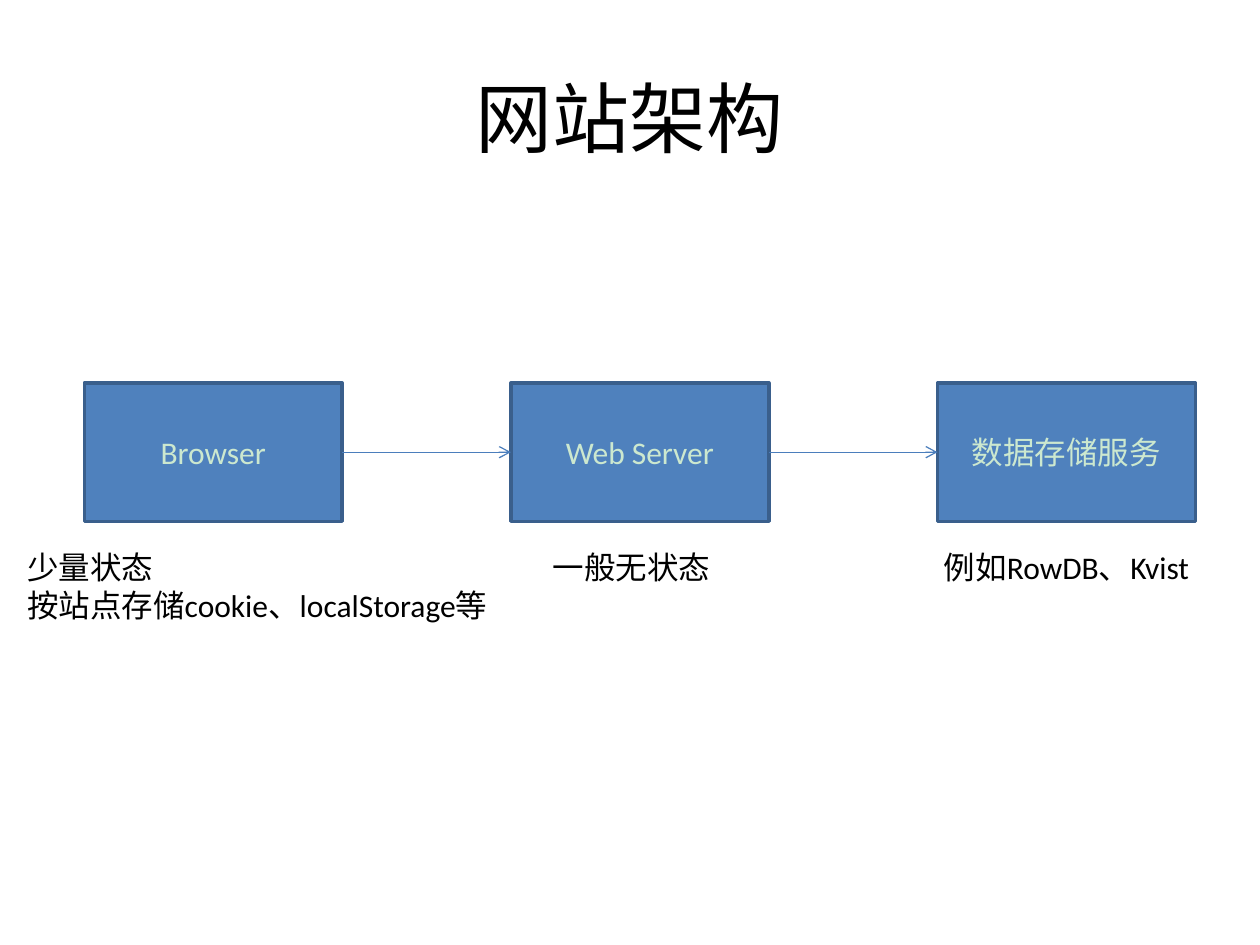
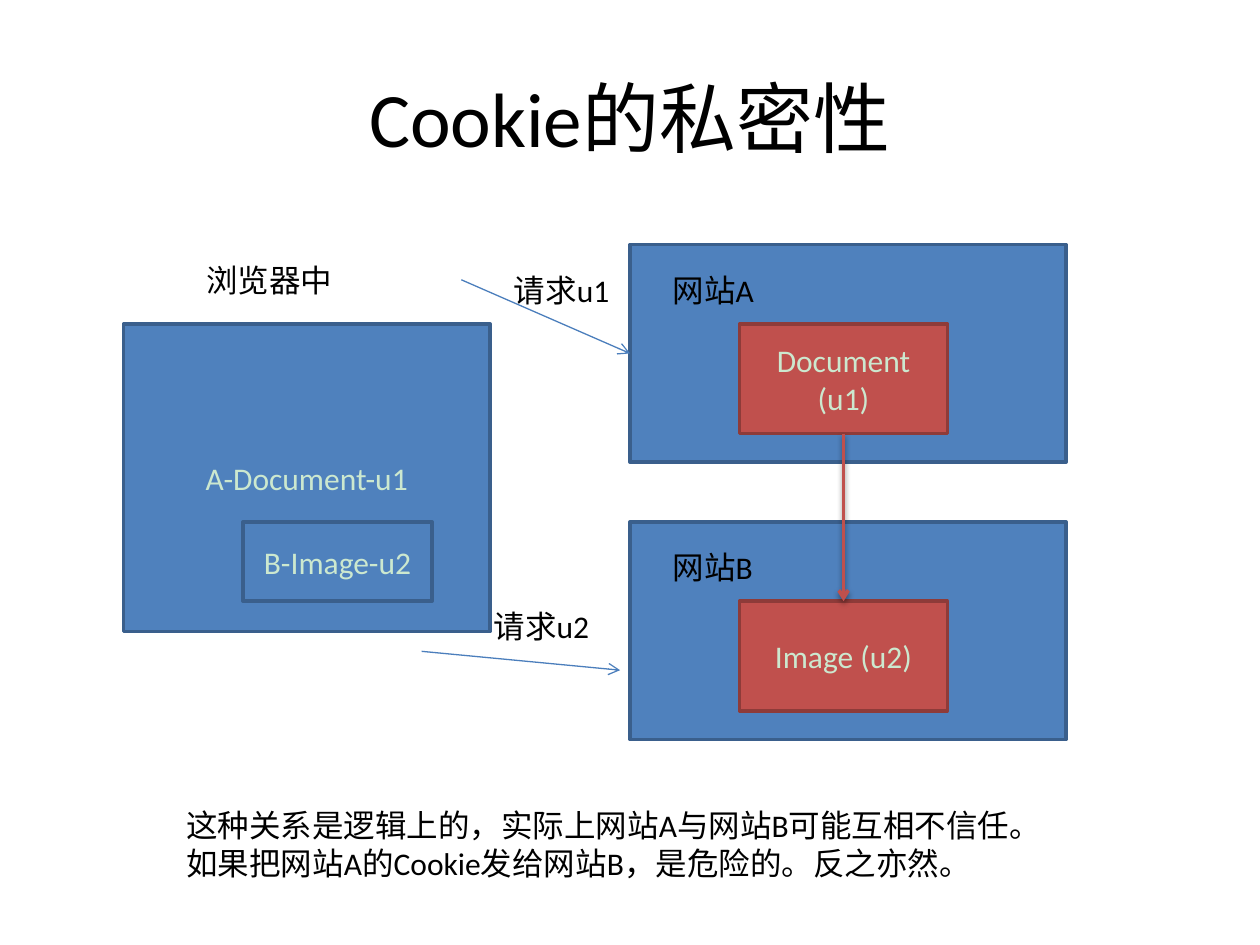
from dataclasses import dataclass

from lxml.etree import SubElement
from pptx import Presentation
from pptx.dml.color import RGBColor
from pptx.enum.shapes import MSO_CONNECTOR, MSO_SHAPE
from pptx.enum.text import MSO_ANCHOR, PP_ALIGN
from pptx.oxml.ns import qn
from pptx.util import Cm, Pt


@dataclass(frozen=True)
class Theme:
    """Colours, font and sizes shared by the slides."""

    font: str = "Calibri"
    ink: str = "000000"
    pale: str = "CCE8CF"
    blue: str = "4F81BD"
    blue_edge: str = "3A5F8C"
    blue_arrow: str = "4B7EBC"
    red: str = "C0504D"
    red_edge: str = "8E3B39"
    title_size: int = 44
    body_size: int = 18
    heavy: float = 2
    thin: float = 0.75


@dataclass(frozen=True)
class Box:
    """A rectangle measured in centimetres."""

    left: float
    top: float
    width: float
    height: float

    def inner(self, dx, dy, width, height):
        """Return a box offset from this one's top left corner."""
        return Box(self.left + dx, self.top + dy, width, height)

    def lengths(self):
        """Return left, top, width and height as slide lengths."""
        return [Cm(v) for v in (self.left, self.top, self.width, self.height)]


THEME = Theme()
TITLE = Box(1.27, 0.76, 22.86, 3.18)
LINE_HEIGHT = 1.02
TOP, LEFT, BOTTOM, RIGHT = range(4)


def write(frame, text, size, color, align, anchor):
    """Fill a text frame with uniformly formatted paragraphs."""
    frame.text = text
    for name, value in {"word_wrap": True, "vertical_anchor": anchor}.items():
        setattr(frame, name, value)
    for paragraph in frame.paragraphs:
        paragraph.alignment = align
        for run in paragraph.runs:
            for name, value in {"name": THEME.font, "size": Pt(size)}.items():
                setattr(run.font, name, value)
            run.font.color.rgb = RGBColor.from_string(color)


def add_titled_slide(deck, title):
    """Add a title-only slide with the shared title style."""
    slide = deck.slides.add_slide(deck.slide_layouts[5])
    heading = slide.shapes.title
    for name, value in zip(("left", "top", "width", "height"), TITLE.lengths()):
        setattr(heading, name, value)
    write(heading.text_frame, title, THEME.title_size, THEME.ink,
          PP_ALIGN.CENTER, MSO_ANCHOR.MIDDLE)
    return slide


def add_block(slide, box, text="", fill=THEME.blue, edge=THEME.blue_edge):
    """Add an outlined rectangle with a centred label."""
    block = slide.shapes.add_shape(MSO_SHAPE.RECTANGLE, *box.lengths())
    block.shadow.inherit = False
    block.fill.solid()
    block.fill.fore_color.rgb = RGBColor.from_string(fill)
    block.line.color.rgb = RGBColor.from_string(edge)
    block.line.width = Pt(THEME.heavy)
    write(block.text_frame, text, THEME.body_size, THEME.pale,
          PP_ALIGN.CENTER, MSO_ANCHOR.MIDDLE)
    return block


def add_caption(slide, box, text, align=PP_ALIGN.LEFT):
    """Add dark body text in a wrapping text box."""
    caption = slide.shapes.add_textbox(*box.lengths())
    write(caption.text_frame, text, THEME.body_size, THEME.ink,
          align, MSO_ANCHOR.TOP)


def add_arrow(slide, start=(0, 0), end=(0, 0), source=None, target=None,
              color=THEME.blue_arrow, weight=THEME.thin, shadow=False):
    """Add an arrow between points, or joined to (block, side) pairs."""
    arrow = slide.shapes.add_connector(
        MSO_CONNECTOR.STRAIGHT, *(Cm(v) for v in (*start, *end)))
    if source:
        arrow.begin_connect(*source)
    if target:
        arrow.end_connect(*target)
    arrow.line.color.rgb = RGBColor.from_string(color)
    arrow.line.width = Pt(weight)
    properties = arrow._element.spPr
    SubElement(properties.get_or_add_ln(), qn("a:tailEnd"), type="arrow")
    effects = SubElement(properties, qn("a:effectLst"))
    if shadow:
        cast = SubElement(effects, qn("a:outerShdw"), blurRad=str(Pt(3.1)),
                          dist=str(Pt(1.6)), dir="5400000", rotWithShape="0")
        shade = SubElement(cast, qn("a:srgbClr"), val=THEME.ink)
        SubElement(shade, qn("a:alpha"), val="38000")


def add_tiers(slide, box):
    """Draw the chain of site tiers across the box, with captions below."""
    tiers = [
        ("Browser", "少量状态\n按站点存储cookie、localStorage等",
         -1.4, 10, 1.8, PP_ALIGN.LEFT),
        ("Web Server", "一般无状态", 0.59, 5.31, LINE_HEIGHT, PP_ALIGN.LEFT),
        ("数据存储服务", "例如RowDB、Kvist", -0.74, 6.68, LINE_HEIGHT,
         PP_ALIGN.CENTER),
    ]
    tier_width = 5.2
    pitch = (box.width - tier_width) / (len(tiers) - 1)
    previous = None
    for i, (name, note, dx, width, height, align) in enumerate(tiers):
        tier_box = box.inner(i * pitch, 0, tier_width, box.height)
        tier = add_block(slide, tier_box, name)
        if previous:
            add_arrow(slide, source=(previous, RIGHT), target=(tier, LEFT))
        add_caption(slide, tier_box.inner(dx, box.height + 0.42, width, height),
                    note, align)
        previous = tier


def add_site(slide, box, name, resource):
    """Draw a web site holding one resource; return both blocks."""
    site = add_block(slide, box)
    held = add_block(slide, box.inner(2.21, 1.6, 4.19, 2.21), resource,
                     THEME.red, THEME.red_edge)
    add_caption(slide, box.inner(0.61, 0.41, 2.59, LINE_HEIGHT), name)
    return site, held


def add_browser(slide, box):
    """Draw the browser's document with its embedded image."""
    add_block(slide, box, "A-Document-u1")
    add_block(slide, box.inner(2.41, 3.99, 3.81, 1.6), "B-Image-u2")
    add_caption(slide, box.inner(1.42, -1.4, 5.41, LINE_HEIGHT), "浏览器中")


def add_requests(slide, box, site_a):
    """Draw the two requests in the gap between browser and sites."""
    add_arrow(slide, start=(box.left + 0.8, box.top + 0.71),
              target=(site_a, LEFT))
    add_caption(slide, box.inner(1.61, 0.4, 2.79, LINE_HEIGHT), "请求u1")
    add_arrow(slide, start=(box.left, box.top + 8.2),
              end=(box.left + box.width, box.top + box.height))
    add_caption(slide, box.inner(1.2, 7.19, 2.79, LINE_HEIGHT), "请求u2")


def build_architecture(deck):
    """Build the site architecture slide."""
    slide = add_titled_slide(deck, "网站架构")
    add_tiers(slide, Box(1.7, 7.72, 22.4, 2.79))


def build_privacy(deck):
    """Build the cookie privacy slide."""
    slide = add_titled_slide(deck, "Cookie的私密性")
    site_box = Box(12.7, 4.93, 8.79, 4.39)
    site_a, document = add_site(slide, site_box, "网站A", "Document (u1)")
    _, image = add_site(slide, site_box.inner(0, 5.59, 8.79, 4.39),
                        "网站B", "Image (u2)")
    add_arrow(slide, source=(document, BOTTOM), target=(image, TOP),
              color=THEME.red, weight=THEME.heavy, shadow=True)
    add_browser(slide, Box(2.49, 6.53, 7.39, 6.2))
    add_requests(slide, Box(8.5, 4.93, 4, 8.58), site_a)
    add_caption(slide, Box(3.51, 16.13, 17.4, 1.8),
                "这种关系是逻辑上的，实际上网站A与网站B可能互相不信任。"
                "如果把网站A的Cookie发给网站B，是危险的。反之亦然。")


def main():
    """Build and save the deck."""
    deck = Presentation()
    deck.slide_width, deck.slide_height = Cm(25.4), Cm(19.05)
    build_architecture(deck)
    build_privacy(deck)
    deck.save("out.pptx")


if __name__ == "__main__":
    main()
